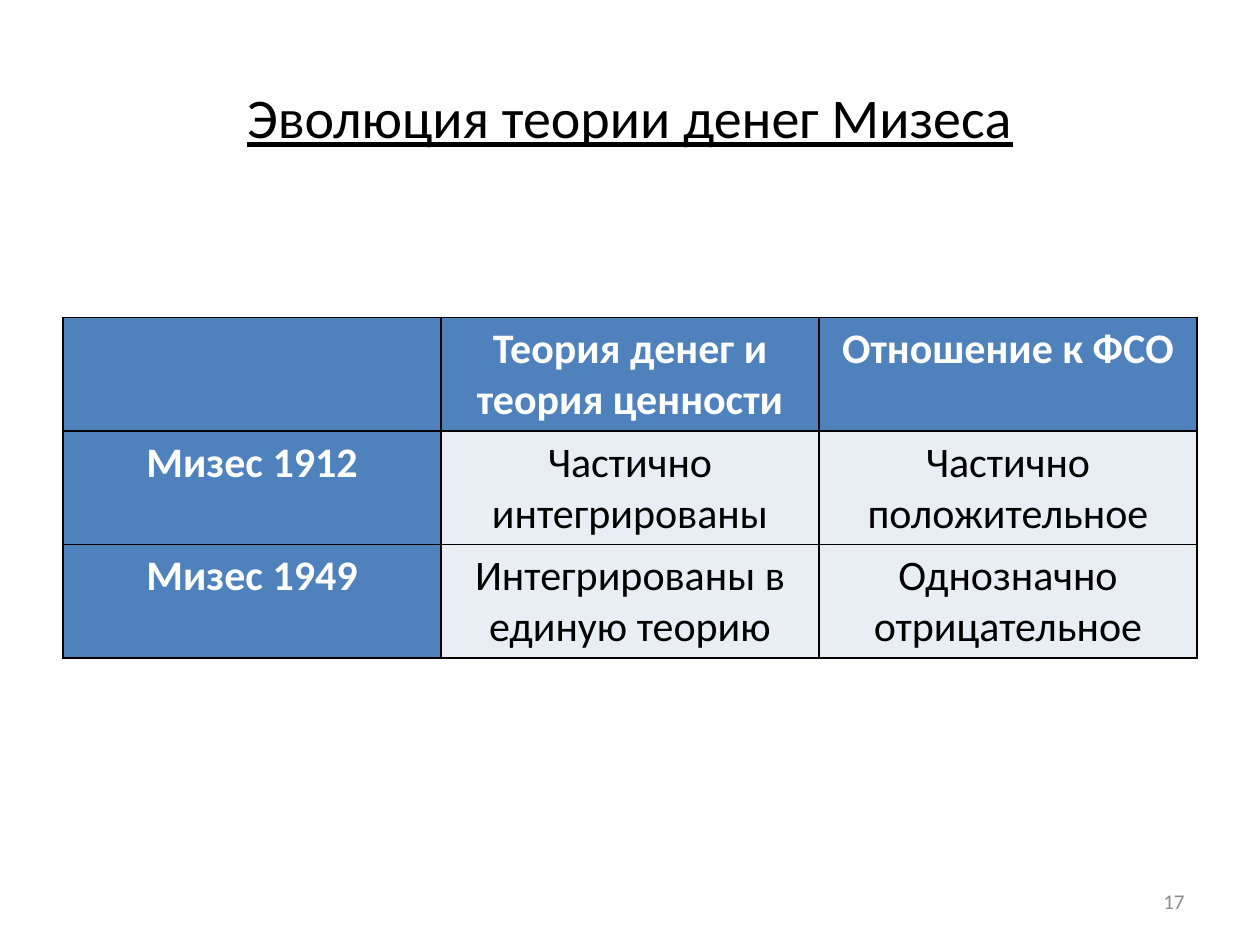
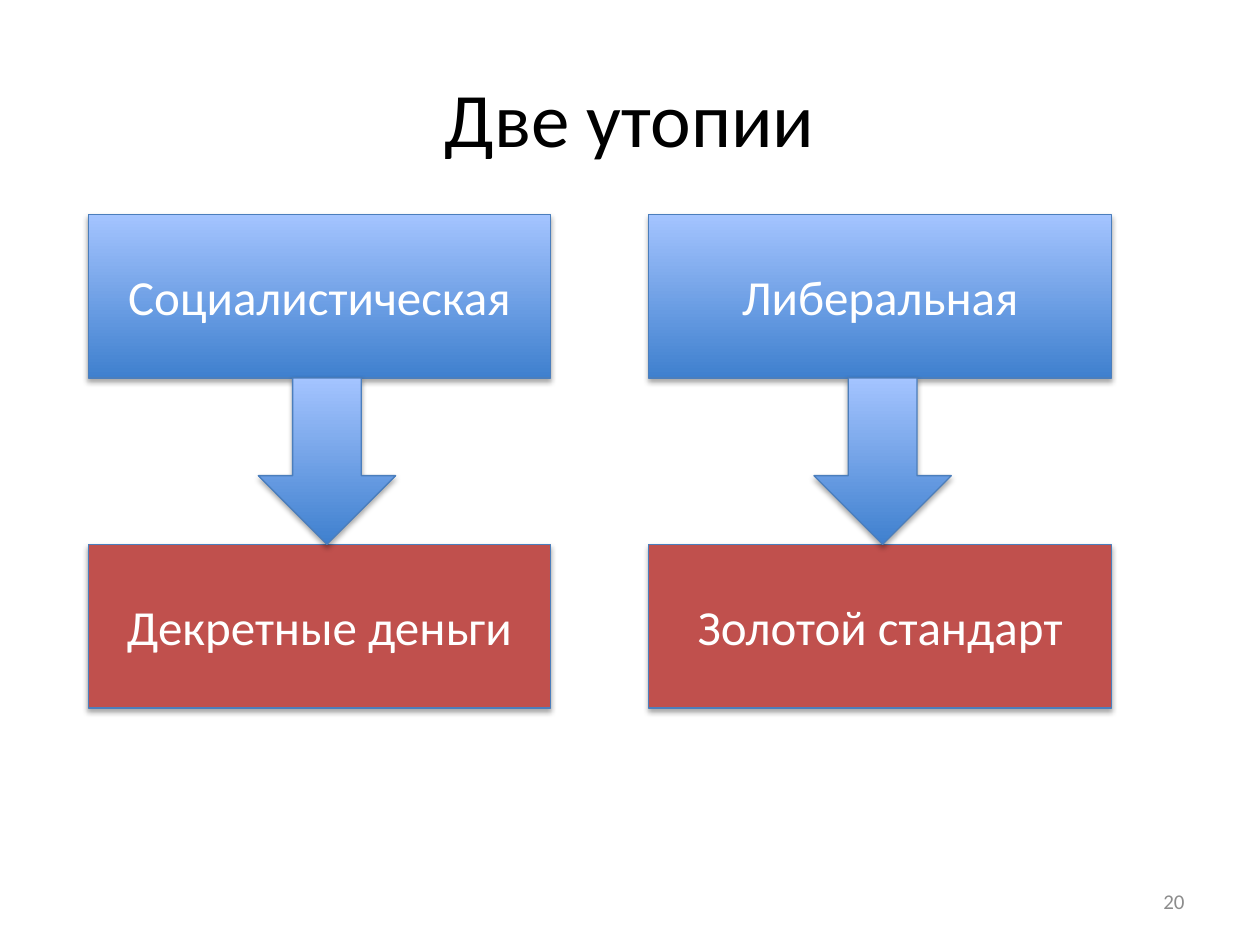
"""Build two slides on the theory of money: a table and a pair of flows."""
from dataclasses import dataclass

from lxml import etree
from pptx import Presentation
from pptx import util as u
from pptx.dml.color import RGBColor as Rgb
from pptx.enum import shapes, text
from pptx.oxml import ns


@dataclass(frozen=True)
class Theme:
    """Hold the colours, font and type sizes."""
    font: str = "Calibri"
    ink: str = "000000"
    paper: str = "FFFFFF"
    muted: str = "8C8C8C"
    head: str = "4F81BD"
    cell: str = "E9EDF4"
    edge: str = "4B7EBC"
    red: str = "C0504D"
    blue: tuple = ("3F80CE", "A4C4FF")
    title: int = 44
    small: int = 32
    box: int = 28
    table: int = 24
    foot: int = 12


T = Theme()
LEFT, MID, RIGHT = text.PP_ALIGN.LEFT, text.PP_ALIGN.CENTER, text.PP_ALIGN.RIGHT
KIND = shapes.MSO_SHAPE


def place(*nums):
    """Turn numbers into lengths in inches."""
    return [u.Inches(n) for n in nums]


def put(obj, **vals):
    """Set each named value on an object."""
    for key, val in vals.items():
        setattr(obj, key, val)


def write(frame, words, size, ink, align=MID, **style):
    """Write one styled paragraph into a text frame."""
    put(frame, word_wrap=True, vertical_anchor=text.MSO_ANCHOR.MIDDLE)
    para = frame.paragraphs[0]
    para.alignment = align
    run = para.add_run()
    run.text = words
    put(run.font, name=T.font, size=u.Pt(size), **style)
    run.font.color.rgb = Rgb.from_string(ink)


def label(slide, at, words, size, ink, **style):
    """Add a text box."""
    box = slide.shapes.add_textbox(*place(*at))
    write(box.text_frame, words, size, ink, **style)


def page(deck, title, num, size, **style):
    """Add a slide with its title and number."""
    slide = deck.slides.add_slide(deck.slide_layouts[6])
    label(slide, (0.5, 0.3, 9, 1.25), title, size, T.ink, **style)
    label(slide, (7.17, 6.95, 2.33, 0.4), num, T.foot, T.muted, align=RIGHT)
    return slide


def node(parent, tag, **attrs):
    """Add a drawing element under a parent."""
    return etree.SubElement(parent, ns.qn("a:" + tag), attrs)


def tint(parent, code):
    """Add a colour element and return it."""
    return node(parent, "srgbClr", val=code)


def shade(shape):
    """Give a shape a soft shadow below it."""
    shape.shadow.inherit = False
    effect = shape._element.spPr.find(ns.qn("a:effectLst"))
    cast = node(effect, "outerShdw", blurRad="40000", dist="23000",
                dir="5400000", rotWithShape="0")
    node(tint(cast, T.ink), "alpha", val="35000")


def paint(fill, hue):
    """Fill with one colour, or with a pair rising from the bottom."""
    if isinstance(hue, str):
        fill.solid()
        fill.fore_color.rgb = Rgb.from_string(hue)
        return
    fill.gradient()
    fill.gradient_angle = 90
    for stop, code in zip(fill.gradient_stops, hue):
        stop.color.rgb = Rgb.from_string(code)


def block(slide, kind, at, hue, words=""):
    """Add a filled shape with an edge, a shadow and optional words."""
    shape = slide.shapes.add_shape(kind, *place(*at))
    paint(shape.fill, hue)
    shape.line.color.rgb = Rgb.from_string(T.edge)
    shape.line.width = u.Pt(0.75)
    shade(shape)
    if words:
        write(shape.text_frame, words, T.box, T.paper)


def frame(cell):
    """Draw a thin line on each side of a cell."""
    props = cell._tc.get_or_add_tcPr()
    for side in "LRTB":
        line = node(props, "ln" + side, w="12700")
        tint(node(line, "solidFill"), T.ink)


def grid(slide, at, rows):
    """Add a table whose first row and column are headings."""
    table = slide.shapes.add_table(len(rows), len(rows[0]), *place(*at)).table
    for r, row in enumerate(rows):
        for c, words in enumerate(row):
            cell = table.cell(r, c)
            head = r == 0 or c == 0
            frame(cell)
            paint(cell.fill, T.head if head else T.cell)
            if words:
                write(cell.text_frame, words, T.table,
                      T.paper if head else T.ink, bold=head)
            cell.vertical_anchor = text.MSO_ANCHOR.TOP


def views(deck):
    """Build the slide that compares two years."""
    slide = page(deck, "Эволюция теории денег Мизеса", "17", T.small,
                 underline=True)
    grid(slide, (0.5, 2.52, 9, 2.7), [
        ("", "Теория денег и теория ценности", "Отношение к ФСО"),
        ("Мизес 1912", "Частично интегрированы", "Частично положительное"),
        ("Мизес 1949", "Интегрированы в единую теорию",
         "Однозначно отрицательное"),
    ])


def flows(deck):
    """Build the slide with two utopias and their money."""
    slide = page(deck, "Две утопии", "20", T.title)
    wide, high, top, low = 3.67, 1.3, 1.7, 4.32
    pairs = [(0.7, 2.05, "Социалистическая", "Декретные деньги"),
             (5.15, 6.46, "Либеральная", "Золотой стандарт")]
    for left, tip, cause, money in pairs:
        block(slide, KIND.RECTANGLE, (left, top, wide, high), T.blue, cause)
        block(slide, KIND.RECTANGLE, (left, low, wide, high), T.red, money)
        gap = low - top - high
        block(slide, KIND.DOWN_ARROW, (tip, top + high, 1.09, gap), T.blue)


def main():
    """Build and save the deck."""
    deck = Presentation()
    put(deck, slide_width=u.Inches(10), slide_height=u.Inches(7.5))
    views(deck)
    flows(deck)
    deck.save("out.pptx")


main()
